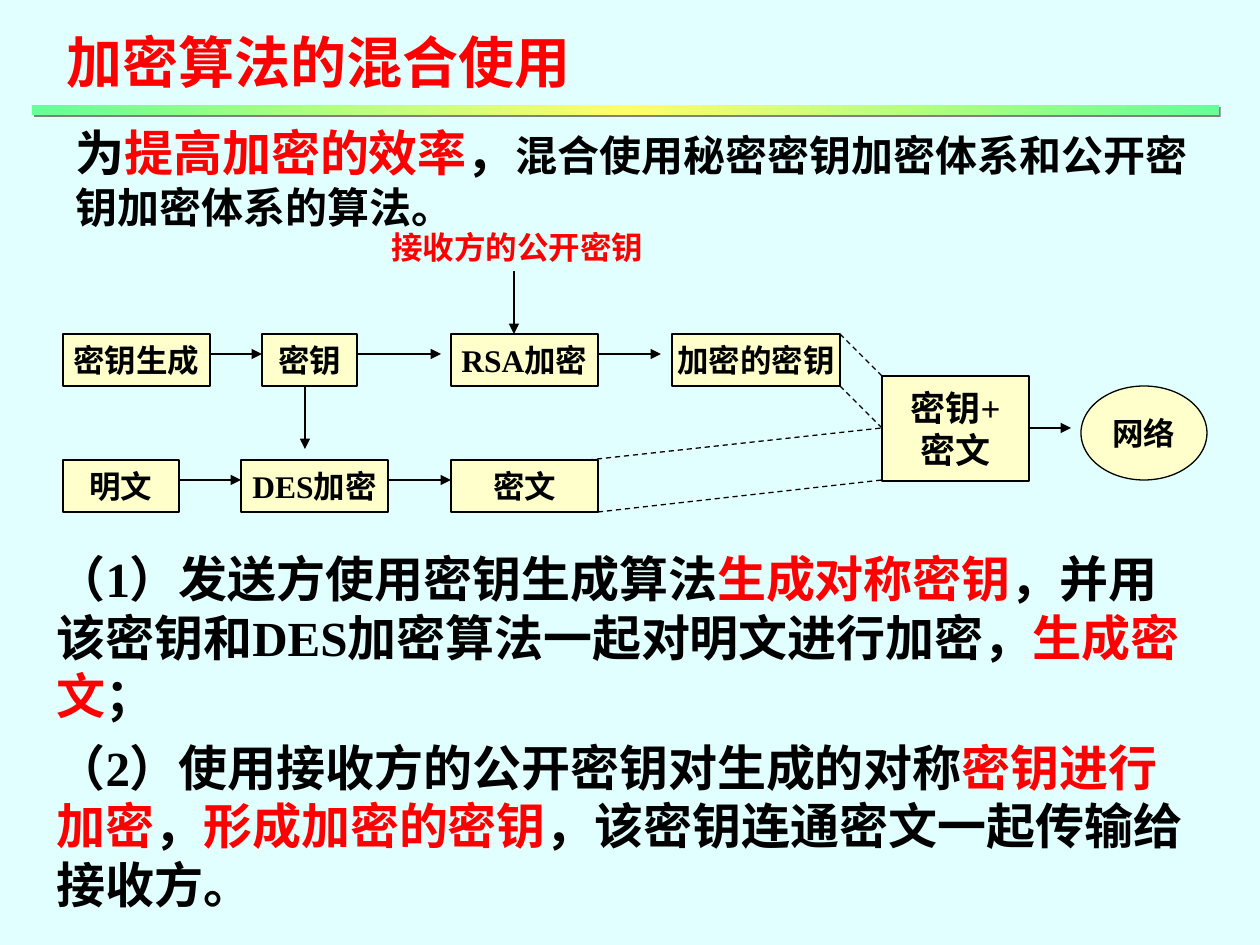
"""Build the slide on combining symmetric and public-key encryption."""
from dataclasses import dataclass

from lxml.etree import SubElement
from pptx import Presentation
from pptx.dml.color import RGBColor as Rgb
from pptx.enum.dml import MSO_LINE_DASH_STYLE as Dash
from pptx.enum.shapes import MSO_CONNECTOR as Connector, MSO_SHAPE as Shape
from pptx.enum.text import MSO_ANCHOR as Anchor, MSO_AUTO_SIZE as AutoSize, PP_ALIGN as Align
from pptx.oxml import parse_xml
from pptx.oxml.ns import nsdecls, qn
from pptx.util import Emu, Pt


@dataclass(frozen=True)
class Theme:
    """Colours, font and type sizes of the slide."""
    font: str = "Times New Roman"
    backdrop: str = "E1FFFF"
    ink: str = "000000"
    accent: str = "FF0000"
    node: str = "FFFFCC"
    bar_edge: str = "66FF99"
    bar_middle: str = "FFFF66"
    bar_shadow: str = "808080"
    title: int = 32
    body: int = 28
    detail: int = 24
    sum_label: int = 20
    label: int = 18
    line: float = 0.75
    paragraph_gap: int = 7


THEME = Theme()
EMU_PER_PX = 914400 / 126
TITLE = "加密算法的混合使用"
INTRO = [[("为", THEME.ink, THEME.body), ("提高加密的效率", THEME.accent, THEME.body),
          ("，", THEME.ink, THEME.body),
          ("混合使用秘密密钥加密体系和公开密钥加密体系的算法。", THEME.ink, THEME.detail)]]
STEPS = [
    [("（1）发送方使用密钥生成算法", THEME.ink, THEME.body),
     ("生成对称密钥", THEME.accent, THEME.body),
     ("，并用该密钥和DES加密算法一起对明文进行加密，", THEME.ink, THEME.body),
     ("生成密文", THEME.accent, THEME.body), ("；", THEME.ink, THEME.body)],
    [("（2）使用接收方的公开密钥对生成的对称", THEME.ink, THEME.body),
     ("密钥进行加密", THEME.accent, THEME.body), ("，", THEME.ink, THEME.body),
     ("形成加密的密钥", THEME.accent, THEME.body),
     ("，该密钥连通密文一起传输给接收方。", THEME.ink, THEME.body)],
]
KEY_ROW, TEXT_ROW, NODE_HEIGHT = 334, 460, 52
KEY_FLOW, TEXT_FLOW, OUT_FLOW = 354, 480, 428
KEY_NODES = [("密钥生成", 63, 147), ("密钥", 262, 95), ("RSA加密", 451, 147), ("加密的密钥", 672, 168)]
TEXT_NODES = [("明文", 63, 116), ("DES加密", 241, 147), ("密文", 451, 147)]
ARROWS = [
    (210, KEY_FLOW, 262, KEY_FLOW), (357, KEY_FLOW, 441, KEY_FLOW), (598, KEY_FLOW, 661, KEY_FLOW),
    (179, TEXT_FLOW, 241, TEXT_FLOW), (388, TEXT_FLOW, 451, TEXT_FLOW),
    (514, 271, 514, KEY_ROW), (305, 386, 305, 449), (1029, OUT_FLOW, 1071, OUT_FLOW),
]
MERGES = [(598, 512, 882, 480), (588, 460, 882, 428), (840, 386, 882, 428), (840, 334, 882, 376)]


def px(*lengths):
    """Turn pixel lengths into EMU."""
    return [Emu(round(length * EMU_PER_PX)) for length in lengths]


def style_runs(paragraph, *styles):
    """Format the runs of a paragraph, each by its own colour and size."""
    for run, (colour, size) in zip(paragraph.runs, styles):
        run.font.name = THEME.font
        run.font.size = Pt(size)
        run.font.bold = True
        run.font.color.rgb = Rgb.from_string(colour)


def place(placeholder, box):
    """Move a placeholder and let its text start at the top left."""
    placeholder.left, placeholder.top, placeholder.width, placeholder.height = px(*box)
    frame = placeholder.text_frame
    frame.auto_size = AutoSize.NONE
    frame.vertical_anchor = Anchor.TOP
    return frame


def write_passage(frame, passage):
    """Write paragraphs made of coloured segments, without bullets."""
    frame.word_wrap = True
    for index, segments in enumerate(passage):
        paragraph = frame.paragraphs[0] if index == 0 else frame.add_paragraph()
        properties = paragraph._p.get_or_add_pPr()
        properties.set("marL", "0")
        properties.set("indent", "0")
        SubElement(properties, qn("a:buNone"))
        paragraph.space_before = Pt(THEME.paragraph_gap if index else 0)
        for wording, _, _ in segments:
            paragraph.add_run().text = wording
        style_runs(paragraph, *(segment[1:] for segment in segments))


def add_title(slide):
    """Fill the title placeholder."""
    frame = place(slide.shapes.title, (41, 21, 1178, 81))
    frame.margin_left = px(25)[0]
    frame.word_wrap = True
    frame.text = TITLE
    heading = frame.paragraphs[0]
    heading.alignment = Align.LEFT
    style_runs(heading, (THEME.accent, THEME.title))


def add_bar(slide):
    """Draw the gradient rule with its hard shadow under the title."""
    bar = slide.shapes.add_shape(Shape.RECTANGLE, *px(32, 105, 1187, 10))
    bar.line.fill.background()
    stops = "".join(
        f'<a:gs pos="{position}"><a:srgbClr val="{colour}"/></a:gs>'
        for position, colour in ((0, THEME.bar_edge), (50000, THEME.bar_middle), (100000, THEME.bar_edge)))
    gradient = parse_xml(f'<a:gradFill {nsdecls("a")} rotWithShape="1"><a:gsLst>{stops}</a:gsLst>'
                         '<a:lin ang="0" scaled="0"/></a:gradFill>')
    shadow = parse_xml(f'<a:effectLst {nsdecls("a")}><a:outerShdw dist="17780" dir="2700000" algn="ctr">'
                       f'<a:srgbClr val="{THEME.bar_shadow}"/></a:outerShdw></a:effectLst>')
    bar._element.spPr.find(qn("a:prstGeom")).addnext(gradient)
    bar._element.spPr.append(shadow)


def add_node(slide, wording, box, size=THEME.label, outline=Shape.RECTANGLE):
    """Add one labelled node of the flow diagram."""
    node = slide.shapes.add_shape(outline, *px(*box))
    node.shadow.inherit = False
    node.fill.solid()
    node.fill.fore_color.rgb = Rgb.from_string(THEME.node)
    node.line.color.rgb = Rgb.from_string(THEME.ink)
    node.line.width = Pt(THEME.line)
    frame = node.text_frame
    frame.word_wrap = False
    frame.vertical_anchor = Anchor.MIDDLE
    frame.text = wording
    for paragraph in frame.paragraphs:
        paragraph.alignment = Align.CENTER
        style_runs(paragraph, (THEME.ink, size))


def add_link(slide, ends, dashed=False):
    """Add a solid arrow, or a plain dashed line."""
    link = slide.shapes.add_connector(Connector.STRAIGHT, *px(*ends))
    link.line.color.rgb = Rgb.from_string(THEME.ink)
    link.line.width = Pt(THEME.line)
    if dashed:
        link.line.dash_style = Dash.DASH
    else:
        SubElement(link.line._get_or_add_ln(), qn("a:tailEnd"), type="triangle")
    SubElement(link._element.spPr, qn("a:effectLst"))


def add_public_key_label(slide):
    """Name the key that enters the RSA step."""
    label = slide.shapes.add_textbox(*px(379, 222, 277, 50))
    label.text_frame.word_wrap = False
    label.text_frame.text = "接收方的公开密钥"
    style_runs(label.text_frame.paragraphs[0], (THEME.accent, THEME.label))


def add_flow(slide):
    """Draw the hybrid encryption flow."""
    for top, nodes in ((KEY_ROW, KEY_NODES), (TEXT_ROW, TEXT_NODES)):
        for wording, left, width in nodes:
            add_node(slide, wording, (left, top, width, NODE_HEIGHT))
    add_node(slide, "密钥+\n密文", (882, 376, 147, 105), THEME.sum_label)
    add_node(slide, "网络", (1081, 386, 126, 94), outline=Shape.OVAL)
    add_public_key_label(slide)
    for ends in ARROWS:
        add_link(slide, ends)
    for ends in MERGES:
        add_link(slide, ends, dashed=True)


def main():
    """Compose and save the slide."""
    deck = Presentation()
    deck.slide_width, deck.slide_height = px(1260, 945)
    slide = deck.slides.add_slide(deck.slide_layouts[1])
    slide.background.fill.solid()
    slide.background.fill.fore_color.rgb = Rgb.from_string(THEME.backdrop)
    add_title(slide)
    intro = slide.shapes.add_textbox(*px(63, 116, 1163, 122))
    write_passage(intro.text_frame, INTRO)
    add_flow(slide)
    write_passage(place(slide.placeholders[1], (44, 542, 1157, 378)), STEPS)
    add_bar(slide)
    deck.save("out.pptx")


if __name__ == "__main__":
    main()
